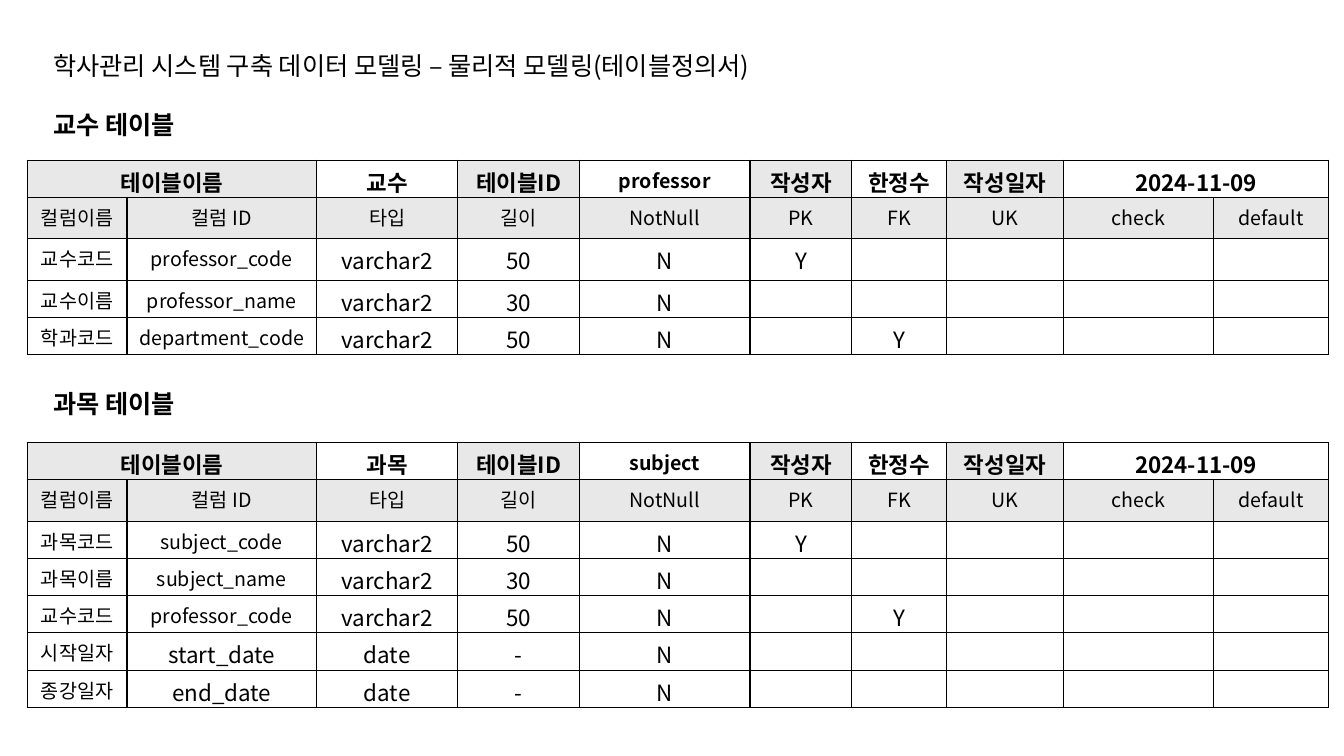
from lxml import etree
from pptx import Presentation
from pptx import util as u
from pptx.dml.color import RGBColor
from pptx.enum import text
from pptx.oxml.ns import qn

BLACK = RGBColor(0, 0, 0)
GREY = RGBColor(0xE8, 0xE8, 0xE8)
FACE = "Noto Sans CJK KR"
WIDE, HIGH = 13.33, 7.5
LEFT, INDENT = 0.27, 0.43
COLS = [0.99, 1.88, 1.4, 1.21, 1.69, 1.01, 0.94, 1.16, 1.49, 1.14]
SHORT, TALL = 0.37, 0.41
HEADS = ["컬럼이름", "컬럼 ID", "타입", "길이", "NotNull",
         "PK", "FK", "UK", "check", "default"]
LABELS = (0, 3, 5, 7)

STAFF = [
    ["교수코드", "professor_code", "varchar2", "50", "N", "Y"],
    ["교수이름", "professor_name", "varchar2", "30", "N"],
    ["학과코드", "department_code", "varchar2", "50", "N", "", "Y"],
]
COURSE = [
    ["과목코드", "subject_code", "varchar2", "50", "N", "Y"],
    ["과목이름", "subject_name", "varchar2", "30", "N"],
    ["교수코드", "professor_code", "varchar2", "50", "N", "", "Y"],
    ["시작일자", "start_date", "date", "-", "N"],
    ["종강일자", "end_date", "date", "-", "N"],
]


def style(para, size, bold=False):
    """Set the face, size and weight of a paragraph."""
    font = para.font
    font.name, font.size, font.bold = FACE, u.Pt(size), bold
    font.color.rgb = BLACK
    props = para._p.pPr.find(qn("a:defRPr"))
    etree.SubElement(props, qn("a:ea"), typeface=FACE)


def title(slide, top, width, words, bold=False):
    """Place one line of heading text."""
    box = slide.shapes.add_textbox(u.Inches(INDENT), u.Inches(top),
                                   u.Inches(width), u.Inches(0.4))
    frame = box.text_frame
    frame.word_wrap = False
    frame.auto_size = text.MSO_AUTO_SIZE.SHAPE_TO_FIT_TEXT
    frame.text = words
    style(frame.paragraphs[0], 18, bold)


def border(cell):
    """Draw a thin black line on each side of a cell."""
    props = cell._tc.get_or_add_tcPr()
    for spot, side in enumerate(("a:lnL", "a:lnR", "a:lnT", "a:lnB")):
        line = etree.Element(qn(side), w=str(u.Pt(1)))
        fill = etree.SubElement(line, qn("a:solidFill"))
        etree.SubElement(fill, qn("a:srgbClr"), val=str(BLACK))
        props.insert(spot, line)


def write(cell, words, size, bold, shade):
    """Fill a cell with centred text, a shade and a border."""
    cell.margin_bottom = 0
    cell.text = words
    para = cell.text_frame.paragraphs[0]
    para.alignment = text.PP_ALIGN.CENTER
    style(para, size, bold)
    if shade:
        cell.fill.solid()
        cell.fill.fore_color.rgb = GREY
    else:
        cell.fill.background()
    border(cell)


def size_of(row, col, words):
    """Give the text size for a place in the grid."""
    if row == 0:
        return 14 if col == 4 else 16
    small = row == 1 or col == 0 or words.endswith(("_code", "_name"))
    return 14 if small else 16


def grid(slide, top, name, code, fields, tall):
    """Build a table definition, with the rows in tall made higher."""
    first = ["테이블이름", "", name, "테이블ID", code,
             "작성자", "한정수", "작성일자", "2024-11-09", ""]
    rows = [first, HEADS] + fields
    highs = [TALL if row in tall else SHORT for row in range(len(rows))]
    frame = slide.shapes.add_table(
        len(rows), len(COLS), u.Inches(LEFT), u.Inches(top),
        u.Inches(sum(COLS)), u.Inches(sum(highs)))
    table = frame.table
    table.first_row = table.horz_banding = False
    for col, width in enumerate(COLS):
        table.columns[col].width = u.Inches(width)
    for row, cells in enumerate(rows):
        table.rows[row].height = u.Inches(highs[row])
        for col in range(len(COLS)):
            words = cells[col] if col < len(cells) else ""
            shade = row == 1 or row == 0 and col in LABELS
            write(table.cell(row, col), words, size_of(row, col, words),
                  row == 0, shade)
    for col in (0, 8):
        table.cell(0, col).merge(table.cell(0, col + 1))


def main():
    """Build the slide and save it."""
    deck = Presentation()
    deck.slide_width, deck.slide_height = u.Inches(WIDE), u.Inches(HIGH)
    slide = deck.slides.add_slide(deck.slide_layouts[6])
    title(slide, 0.45, 7.93,
          "학사관리 시스템 구축 데이터 모델링 – 물리적 모델링(테이블정의서)")
    title(slide, 1.04, 1.55, "교수 테이블", True)
    grid(slide, 1.59, "교수", "professor", STAFF, (1, 2))
    title(slide, 3.8, 1.55, "과목 테이블", True)
    grid(slide, 4.39, "과목", "subject", COURSE, (1,))
    deck.save("out.pptx")


if __name__ == "__main__":
    main()
